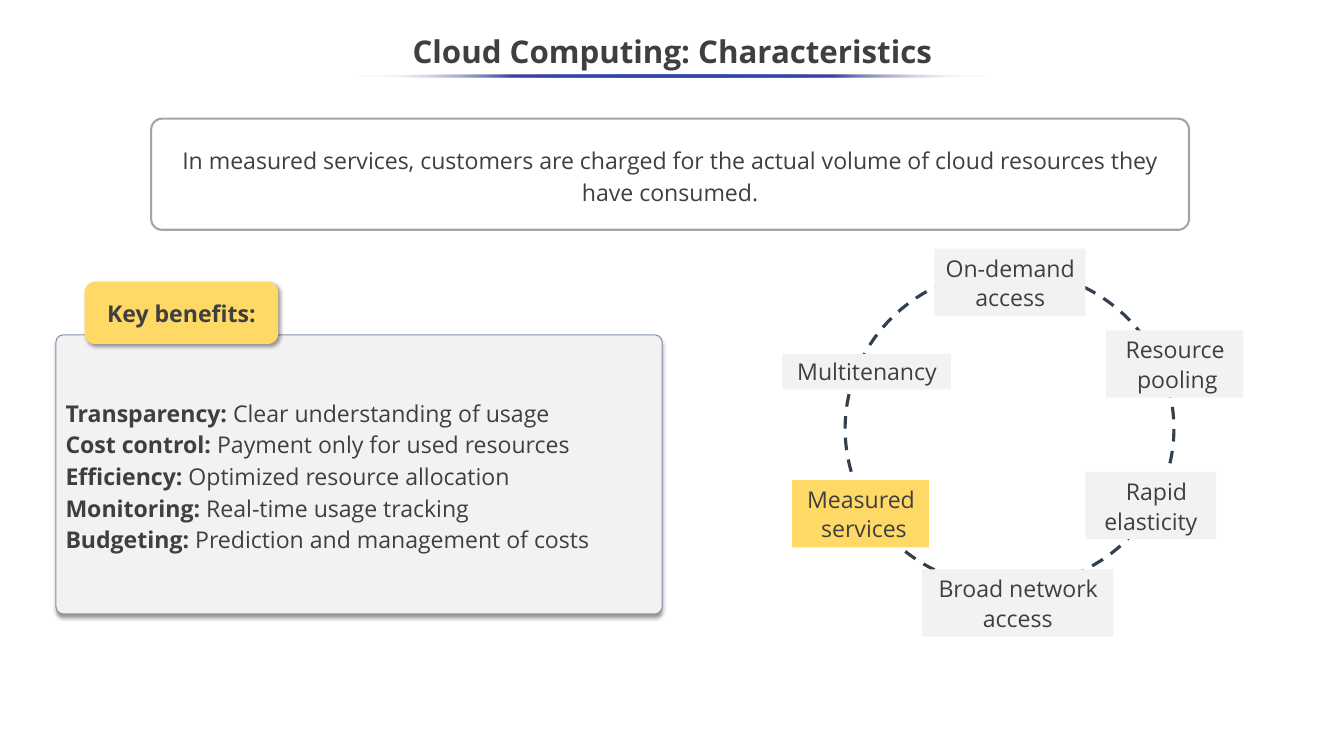
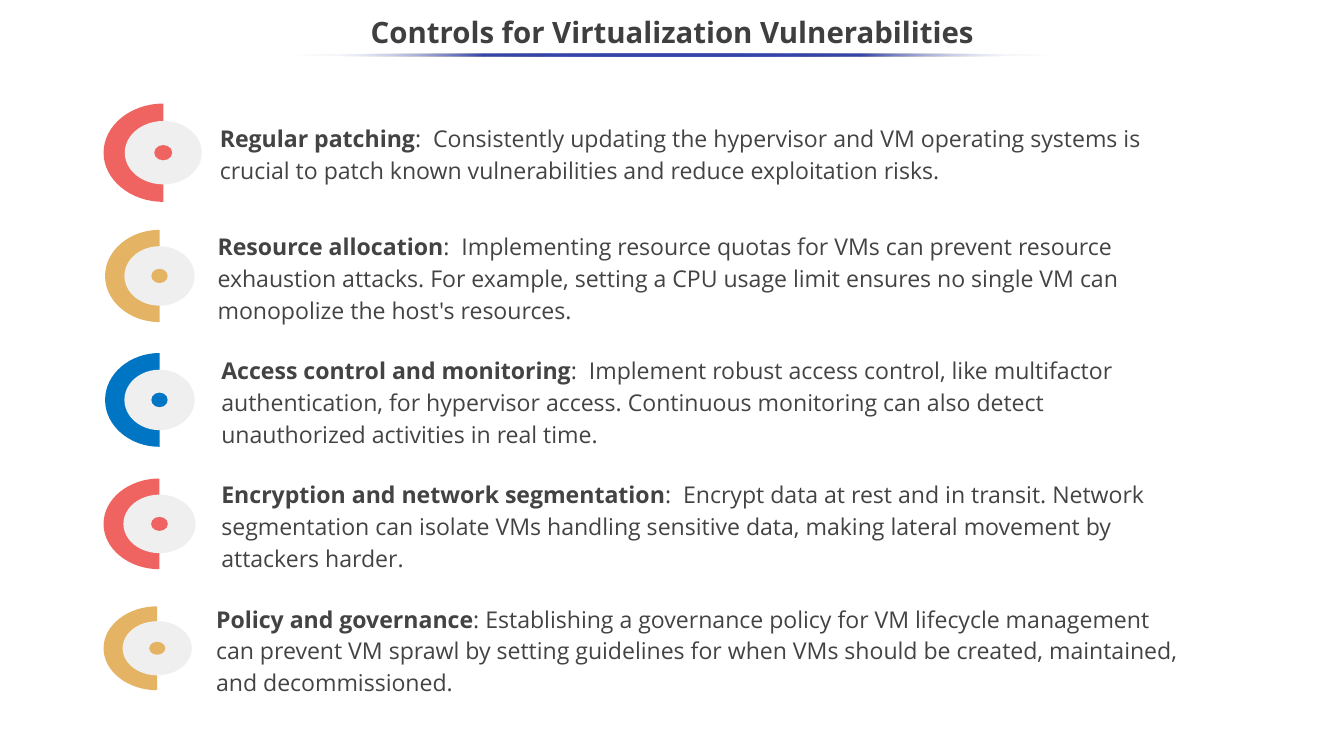
import itertools

import lxml.etree
import pptx
import pptx.dml.color
import pptx.enum.dml
import pptx.enum.shapes
import pptx.enum.text
import pptx.oxml.ns
import pptx.util

RGB = pptx.dml.color.RGBColor
KIND = pptx.enum.shapes.MSO_SHAPE
ALIGN = pptx.enum.text.PP_ALIGN
ANCHOR = pptx.enum.text.MSO_ANCHOR
qn = pptx.oxml.ns.qn

PX = 9144
SLIDE_WIDTH, SLIDE_HEIGHT = 1778, 1000
FONT = "Open Sans"
BODY_SIZE = 22
ARC_PULL = 0.55

INK = RGB(0x3F, 0x3F, 0x3F)
SOFT_INK = RGB(0x43, 0x43, 0x43)
WHITE = RGB(0xFF, 0xFF, 0xFF)
PANEL = RGB(0xF2, 0xF2, 0xF2)
PANEL_EDGE = RGB(0x82, 0x96, 0xB0)
YELLOW = RGB(0xFF, 0xD9, 0x66)
BOX_EDGE = RGB(0xA5, 0xA5, 0xA5)
RING_EDGE = RGB(0x32, 0x3F, 0x4F)
INDIGO = RGB(0x36, 0x45, 0xA9)
DISC = RGB(0xEF, 0xEF, 0xEF)
RED = RGB(0xEF, 0x64, 0x61)
GOLD = RGB(0xE4, 0xB3, 0x63)
BLUE = RGB(0x00, 0x75, 0xC4)

SUMMARY = (
    "In measured services, customers are charged for the actual volume "
    "of cloud resources they have consumed."
)
BENEFITS = [
    ("Transparency: ", "Clear understanding of usage"),
    ("Cost control: ", "Payment only for used resources"),
    ("Efficiency: ", "Optimized resource allocation"),
    ("Monitoring: ", "Real-time usage tracking"),
    ("Budgeting: ", "Prediction and management of costs"),
]
CHARACTERISTICS = [
    (["On-demand", "access"], (1236, 329, 200, 89), (28, -27), ANCHOR.TOP, PANEL),
    (["Resource pooling"], (1463, 437, 182, 89), (7, -6), ANCHOR.TOP, PANEL),
    (["Rapid elasticity"], (1436, 624, 173, 89), (0, 15), ANCHOR.MIDDLE, PANEL),
    (["Broad network access"], (1220, 753, 253, 89), (0, 1), ANCHOR.TOP, PANEL),
    (["Measured services"], (1048, 635, 181, 89), (9, -8), ANCHOR.TOP, YELLOW),
    (["Multitenancy"], (1035, 468, 223, 47), (0, 1), ANCHOR.TOP, PANEL),
]
CONTROLS = [
    ("Regular patching",
     ":  Consistently updating the hypervisor and VM operating systems is crucial "
     "to patch known vulnerabilities and reduce exploitation risks.",
     (137, 137, 79, 130), (281, 1248, 95)),
    ("Resource allocation",
     ":  Implementing resource quotas for VMs can prevent resource exhaustion attacks. "
     "For example, setting a CPU usage limit ensures no single VM can monopolize "
     "the host's resources.",
     (139, 304, 72, 122), (278, 1299, 134)),
    ("Access control and monitoring",
     ":  Implement robust access control, like multifactor authentication, for "
     "hypervisor access. Continuous monitoring can also detect unauthorized "
     "activities in real time.",
     (139, 467, 72, 124), (283, 1299, 134)),
    ("Encryption and network segmentation",
     ":  Encrypt data at rest and in transit. Network segmentation can isolate VMs "
     "handling sensitive data, making lateral movement by attackers harder.",
     (137, 633, 74, 120), (283, 1299, 134)),
    ("Policy and governance",
     ": Establishing a governance policy for VM lifecycle management can prevent VM "
     "sprawl by setting guidelines for when VMs should be created, maintained, "
     "and decommissioned.",
     (137, 802, 71, 111), (276, 1299, 134)),
]


def emu(*lengths):
    return [round(length * PX) for length in lengths]


def style(shape, fill=None, edge=None, weight=1):
    shape.shadow.inherit = False
    if fill is None:
        shape.fill.background()
    else:
        shape.fill.solid()
        shape.fill.fore_color.rgb = fill
    if edge is None:
        shape.line.fill.background()
    else:
        shape.line.color.rgb = edge
        shape.line.width = pptx.util.Pt(weight)
    return shape


def add_shape(shapes, kind, box, fill=None, edge=None, weight=1, rounding=None):
    shape = style(shapes.add_shape(kind, *emu(*box)), fill, edge, weight)
    if rounding is not None:
        shape.adjustments[0] = rounding
    return shape


def write(shape, paragraphs, size=BODY_SIZE, color=INK, align=ALIGN.LEFT,
          spacing=None, anchor=ANCHOR.MIDDLE, indent=None, grow=False):
    frame = shape.text_frame
    frame.word_wrap = True
    frame.vertical_anchor = anchor
    if grow:
        frame.auto_size = pptx.enum.text.MSO_AUTO_SIZE.SHAPE_TO_FIT_TEXT
    for number, runs in enumerate(paragraphs):
        paragraph = frame.add_paragraph() if number else frame.paragraphs[0]
        paragraph.alignment = align
        if spacing:
            paragraph.line_spacing = spacing
        if indent:
            margin, first_line = emu(*indent)
            properties = paragraph._p.get_or_add_pPr()
            properties.set("marL", str(margin))
            properties.set("indent", str(first_line))
        for text, bold in runs:
            run = paragraph.add_run()
            run.text = text
            run.font.name = FONT
            run.font.size = pptx.util.Pt(size)
            run.font.bold = bold
            run.font.color.rgb = color


def cast_shadow(shape, degrees):
    effects = shape._element.spPr.find(qn("a:effectLst"))
    shadow = lxml.etree.SubElement(
        effects, qn("a:outerShdw"), blurRad=str(pptx.util.Pt(4)),
        dist=str(pptx.util.Pt(3)), dir=str(degrees * 60000),
        algn="tl", rotWithShape="0")
    black = lxml.etree.SubElement(shadow, qn("a:srgbClr"), val="000000")
    lxml.etree.SubElement(black, qn("a:alpha"), val="40000")


def fade_ends(shape):
    shape.fill.gradient()
    shape.fill.gradient_angle = 0
    stops = shape._element.spPr.find(qn("a:gradFill")).find(qn("a:gsLst"))
    for stop in list(stops):
        stops.remove(stop)
    for percent in range(0, 101, 25):
        at_end = percent in (0, 100)
        stop = lxml.etree.SubElement(stops, qn("a:gs"), pos=str(percent * 1000))
        color = lxml.etree.SubElement(
            stop, qn("a:srgbClr"), val=str(WHITE if at_end else INDIGO))
        if at_end:
            lxml.etree.SubElement(color, qn("a:alpha"), val="0")


def add_slide(deck, title, size, title_top, rule_top, rule_width, indent=None):
    shapes = deck.slides.add_slide(deck.slide_layouts[6]).shapes
    heading = shapes.add_textbox(*emu(-1, title_top, SLIDE_WIDTH + 2, 75))
    write(heading, [[(title, True)]], size, align=ALIGN.CENTER, spacing=0.9,
          indent=indent)
    rule_left = (SLIDE_WIDTH - rule_width) / 2
    fade_ends(add_shape(shapes, KIND.OVAL, (rule_left, rule_top, rule_width, 4), INDIGO))
    return shapes


def round_quarters(outline):
    previous = None
    for point in list(outline._element.iter(qn("a:pt"))):
        end = int(point.get("x")), int(point.get("y"))
        if previous and end[0] != previous[0]:
            corner = min(previous[0], end[0]), max((previous, end))[1]
            segment = point.getparent()
            segment.tag = qn("a:cubicBezTo")
            for place, anchor in enumerate((previous, end)):
                x, y = (round(a + ARC_PULL * (c - a)) for a, c in zip(anchor, corner))
                segment.insert(place, segment.makeelement(
                    qn("a:pt"), {"x": str(x), "y": str(y)}))
        previous = end


def add_half_ring(shapes, box, color):
    left, top, width, height = box
    right, middle = left + width, top + height / 2
    inner_width, inner_reach = width * 0.62, height * 0.31
    corners = [
        (right, top), (left, middle), (right, top + height),
        (right, middle + inner_reach), (right - inner_width, middle),
        (right, middle - inner_reach),
    ]
    start, *others = [emu(*corner) for corner in corners]
    builder = shapes.build_freeform(*start, scale=1.0)
    builder.add_line_segments(others, close=True)
    ring = style(builder.convert_to_shape(), color)
    round_quarters(ring)

    for x_share, y_share, fill in ((1.29, 0.645, DISC), (0.3, 0.155, color)):
        oval_width, oval_height = width * x_share, height * y_share
        add_shape(shapes, KIND.OVAL,
                  (right - oval_width / 2, middle - oval_height / 2,
                   oval_width, oval_height), fill)


def build_characteristics(deck):
    shapes = add_slide(deck, "Cloud Computing: Characteristics", 29.8, 33, 99, 844,
                       indent=(0, 1))

    benefits = add_shape(shapes, KIND.ROUNDED_RECTANGLE, (74, 443, 802, 369),
                         PANEL, PANEL_EDGE, 1, 0.026)
    cast_shadow(benefits, 90)
    write(benefits, [[(name, True), (detail, False)] for name, detail in BENEFITS],
          spacing=1.14)

    cycle = add_shape(shapes, KIND.OVAL, (1118, 357, 435, 420), None, RING_EDGE, 3)
    cycle.line.dash_style = pptx.enum.dml.MSO_LINE.DASH

    for lines, box, indent, anchor, fill in CHARACTERISTICS:
        label = add_shape(shapes, KIND.RECTANGLE, box, fill)
        write(label, [[(line, False)] for line in lines], align=ALIGN.CENTER,
              spacing=1.06 if box[3] > 47 else None, anchor=anchor,
              indent=indent, grow=True)

    summary = add_shape(shapes, KIND.ROUNDED_RECTANGLE, (200, 157, 1373, 147),
                        None, BOX_EDGE, 2, 0.098)
    write(summary, [[(SUMMARY, False)]], align=ALIGN.CENTER, spacing=1.14)

    tab = add_shape(shapes, KIND.ROUNDED_RECTANGLE, (112, 373, 256, 82),
                    YELLOW, rounding=0.167)
    cast_shadow(tab, 45)
    write(tab, [[("Key benefits:", True)]], align=ALIGN.CENTER)


def build_controls(deck):
    shapes = add_slide(deck, "Controls for Virtualization Vulnerabilities", 28, 7, 71, 999)
    colors = itertools.cycle((RED, GOLD, BLUE))
    for (name, detail, ring, (left, width, height)), color in zip(CONTROLS, colors):
        control = shapes.add_group_shape().shapes
        add_half_ring(control, ring, color)
        top = ring[1] + (ring[3] - height) / 2
        description = control.add_textbox(*emu(left, top, width, height))
        write(description, [[(name, True), (detail, False)]], color=SOFT_INK,
              spacing=1.14, anchor=ANCHOR.TOP, grow=True)


def main():
    deck = pptx.Presentation()
    deck.slide_width, deck.slide_height = emu(SLIDE_WIDTH, SLIDE_HEIGHT)
    build_characteristics(deck)
    build_controls(deck)
    deck.save("out.pptx")


if __name__ == "__main__":
    main()
